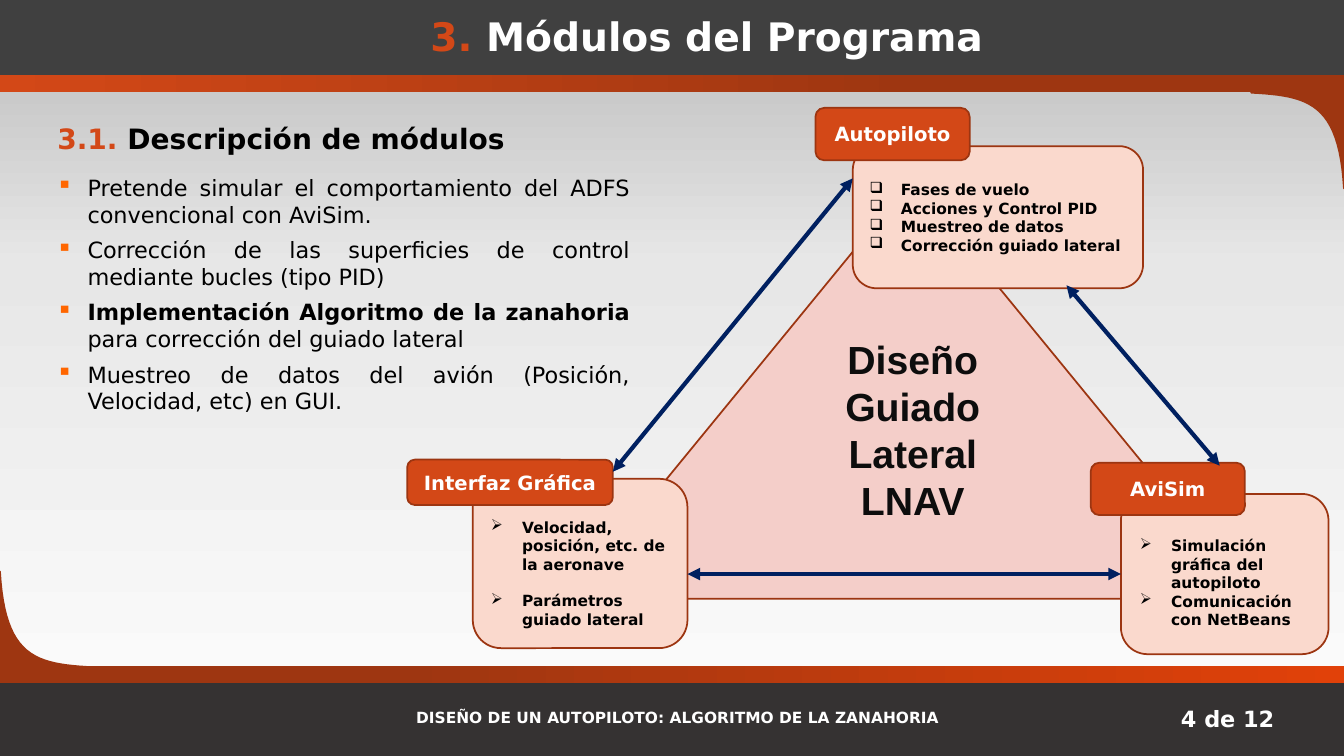
from lxml.etree import SubElement
from pptx import Presentation
from pptx.dml.color import RGBColor
from pptx.enum.shapes import MSO_CONNECTOR, MSO_SHAPE
from pptx.enum.text import MSO_ANCHOR, PP_ALIGN
from pptx.oxml.ns import qn
from pptx.util import Inches, Pt

WHITE = RGBColor(0xFF, 0xFF, 0xFF)
BLACK = RGBColor(0x00, 0x00, 0x00)
INK = RGBColor(0x0D, 0x0D, 0x0D)
ORANGE = RGBColor(0xD3, 0x48, 0x17)
BRIGHT_ORANGE = RGBColor(0xE1, 0x41, 0x09)
BULLET_ORANGE = RGBColor(0xFF, 0x66, 0x00)
RUST = RGBColor(0x9E, 0x36, 0x11)
OUTLINE = RGBColor(0x9C, 0x35, 0x11)
PEACH = RGBColor(0xFA, 0xD9, 0xCD)
PINK = RGBColor(0xF4, 0xCE, 0xC9)
NAVY = RGBColor(0x00, 0x20, 0x60)
HEADER_GREY = RGBColor(0x40, 0x40, 0x40)
FOOTER_GREY = RGBColor(0x35, 0x32, 0x32)
LIGHT = RGBColor(0xFE, 0xFE, 0xFE)
SILVER = RGBColor(0xE7, 0xE7, 0xE7)
DARK_SILVER = RGBColor(0xB9, 0xB9, 0xB9)

presentation = Presentation()
presentation.slide_width = Inches(13.33)
presentation.slide_height = Inches(7.5)
slide = presentation.slides.add_slide(presentation.slide_layouts[6])
shapes = slide.shapes

# All places are in columns and rows of a 40 by 30 grid.
COLUMN = presentation.slide_width / 40
ROW = presentation.slide_height / 30
GRID = (COLUMN, ROW, COLUMN, ROW)


def paint_gradient(fill, element, stops, angle):
    """Fill with (percent, colour) stops; element is the XML that holds the fill."""
    fill.gradient()
    fill.gradient_angle = angle
    stop_list = next(element.iter(qn("a:gsLst")))
    for stop in list(stop_list):
        stop_list.remove(stop)
    for percent, color in stops:
        stop = SubElement(stop_list, qn("a:gs"), pos=str(percent * 1000))
        SubElement(stop, qn("a:srgbClr"), val=str(color))


def write_text(shape, paragraphs, font, layout=None, anchor=MSO_ANCHOR.TOP,
               bullet=None, bullet_color=None, indent=0):
    """Write paragraphs, each a list of (text, changes to the font) runs."""
    frame = shape.text_frame
    frame.word_wrap = True
    frame.vertical_anchor = anchor
    for index, runs in enumerate(paragraphs):
        paragraph = frame.paragraphs[0] if index == 0 else frame.add_paragraph()
        properties = paragraph._p.get_or_add_pPr()
        properties.set("marL", str(Inches(indent)))
        if bullet:
            properties.set("indent", str(-Inches(indent)))
            if bullet_color:
                color_element = SubElement(properties, qn("a:buClr"))
                SubElement(color_element, qn("a:srgbClr"), val=str(bullet_color))
            SubElement(properties, qn("a:buChar"), char=bullet)
        for name, value in {"alignment": PP_ALIGN.LEFT, **(layout or {})}.items():
            if name != "space_before" or index > 0:
                setattr(paragraph, name, value)
        for text, changes in runs:
            run = paragraph.add_run()
            run.text = text
            run_format = {"name": "DejaVu Sans", "bold": True, **font, **changes}
            run.font.color.rgb = run_format.pop("color")
            for name, value in run_format.items():
                setattr(run.font, name, value)


paint_gradient(slide.background.fill, slide._element,
               [(0, LIGHT), (65, SILVER), (100, DARK_SILVER)], 90)

# Curved corners: one Bézier outline, turned half round for the second corner
curve = [(0, 22.68), (0.15, 26.08), (1.05, 26.36), (2.76, 26.48)]
corner = [(2.76, 26.8), (0, 26.8)]
STEPS = 24
for step in range(STEPS + 1):
    t = step / STEPS
    weights = ((1 - t) ** 3, 3 * t * (1 - t) ** 2, 3 * t * t * (1 - t), t ** 3)
    corner.append(tuple(sum(weight * point[axis] for weight, point in zip(weights, curve))
                        for axis in (0, 1)))
opposite_corner = [(40 - x, 30.16 - y) for x, y in corner]
for outline in (corner, opposite_corner):
    points = [(round(x * COLUMN), round(y * ROW)) for x, y in outline]
    builder = shapes.build_freeform(*points[0])
    builder.add_line_segments(points[1:], close=True)
    shape = builder.convert_to_shape()
    shape.shadow.inherit = False
    shape.fill.solid()
    shape.fill.fore_color.rgb = RUST
    shape.line.color.rgb = RUST
    shape.line.width = Pt(1.25)

# Bars, triangle, cards and tabs, from back to front
ROUNDED = MSO_SHAPE.ROUNDED_RECTANGLE
BAR = MSO_SHAPE.RECTANGLE
drawn = {}
for name, kind, place, fill, outline in [
    ("footer bar", BAR, (0, 27.04, 40, 2.96), FOOTER_GREY, None),
    ("header bar", BAR, (0, 0, 40, 2.96), HEADER_GREY, HEADER_GREY),
    ("header stripe", BAR, (0, 2.96, 40, 0.68), [(0, ORANGE), (68, RUST), (100, RUST)], None),
    ("footer stripe", BAR, (0, 26.44, 40, 0.68),
     [(0, RUST), (30, RUST), (100, BRIGHT_ORANGE)], None),
    ("triangle", MSO_SHAPE.ISOSCELES_TRIANGLE, (16.92, 7.16, 20.4, 16.6), PINK, OUTLINE),
    ("autopilot card", ROUNDED, (25.38, 5.8, 8.64, 5.64), PEACH, OUTLINE),
    ("interface card", ROUNDED, (14.07, 19, 6.39, 6.72), PEACH, OUTLINE),
    ("Interfaz Gráfica", ROUNDED, (12.12, 18.24, 6.12, 1.8), ORANGE, OUTLINE),
    ("Autopiloto", ROUNDED, (24.27, 4.28, 4.59, 2.08), ORANGE, OUTLINE),
    ("simulator card", ROUNDED, (33.36, 19.6, 6.18, 6.36), PEACH, OUTLINE),
    ("AviSim", ROUNDED, (32.46, 18.36, 4.59, 2.08), ORANGE, OUTLINE),
]:
    shape = shapes.add_shape(kind, *(round(n * unit) for n, unit in zip(place, GRID)))
    shape.shadow.inherit = False
    if isinstance(fill, list):
        paint_gradient(shape.fill, shape._element, fill, 0)
    else:
        shape.fill.solid()
        shape.fill.fore_color.rgb = fill
    if outline:
        shape.line.color.rgb = outline
        shape.line.width = Pt(1.25)
    else:
        shape.line.fill.background()
    drawn[name] = shape

CENTER = {"alignment": PP_ALIGN.CENTER}
MIDDLE = MSO_ANCHOR.MIDDLE
for tab in ("Interfaz Gráfica", "Autopiloto", "AviSim"):
    write_text(drawn[tab], [[(tab, {})]], {"size": Pt(14), "color": WHITE}, CENTER, MIDDLE)

CARD_FONT = {"size": Pt(11), "color": BLACK}
write_text(drawn["autopilot card"],
           [[(item, {})] for item in ("Fases de vuelo", "Acciones y Control PID",
                                      "Muestreo de datos", "Corrección guiado lateral")],
           CARD_FONT, anchor=MIDDLE, bullet="❑", indent=0.31)
drawn["interface card"].text_frame.margin_top = round(0.96 * ROW)
write_text(drawn["interface card"],
           [[("Velocidad, posición, etc. de la aeronave", {})],
            [("Parámetros guiado lateral", {})]],
           CARD_FONT, {"space_before": Pt(13)}, MIDDLE, bullet="➢", indent=0.31)

# Double-headed arrows between the modules
for start, end, target in [
    ((18.24, 18.72), (25.38, 7.08), None),
    ((20.46, 22.78), (33.36, 22.78), "simulator card"),
    ((31.74, 11.32), (36.3, 18.48), None),
]:
    connector = shapes.add_connector(
        MSO_CONNECTOR.STRAIGHT, *(round(n * unit) for n, unit in zip(start + end, GRID)))
    if target:
        connector.end_connect(drawn[target], 1)
    connector.line.color.rgb = NAVY
    connector.line.width = Pt(3)
    line = connector.line._get_or_add_ln()
    for arrowhead in ("a:headEnd", "a:tailEnd"):
        SubElement(line, qn(arrowhead), type="triangle")
    SubElement(connector._element.spPr, qn("a:effectLst"))

# Free text
HEADING = {"line_spacing": 0.8, "space_after": Pt(8)}
PLAIN = {"bold": False}
for place, paragraphs, font, options in [
    ((4.89, 0.64, 31.41, 4.32),
     [[("3. ", {"color": ORANGE}), ("Módulos del Programa", {})]],
     {"size": Pt(28), "color": WHITE}, {"layout": {**HEADING, **CENTER}, "indent": 0.29}),
    ((33.12, 27.72, 5.1, 1.56), [[("4 de 12", {})]],
     {"size": Pt(16), "color": WHITE},
     {"layout": {"alignment": PP_ALIGN.RIGHT}, "anchor": MIDDLE}),
    ((1.38, 6.72, 17.67, 17.36),
     [[("Pretende simular el comportamiento del ADFS convencional con AviSim.", PLAIN)],
      [("Corrección de las superficies de control mediante bucles (tipo PID)", PLAIN)],
      [("Implementación Algoritmo de la zanahoria ", {}),
       ("para corrección del guiado lateral", PLAIN)],
      [("Muestreo de datos del avión (Posición, Velocidad, etc) en GUI.", PLAIN)]],
     {"size": Pt(16), "color": BLACK},
     {"layout": {"alignment": PP_ALIGN.JUSTIFY, "space_after": Pt(6)},
      "bullet": "▪", "bullet_color": BULLET_ORANGE, "indent": 0.31}),
    ((0.54, 4.88, 24.03, 1.48),
     [[("3.1.", {"color": ORANGE}), (" Descripción de módulos", {})]],
     {"size": Pt(20), "color": BLACK}, {"layout": HEADING, "indent": 0.29}),
    ((33.63, 21.08, 6.15, 5.32),
     [[("Simulación gráfica del autopiloto", {})], [("Comunicación con NetBeans", {})]],
     CARD_FONT, {"bullet": "➢", "indent": 0.31}),
    ((23.91, 13.12, 6.51, 7.96), [[("Diseño Guiado Lateral LNAV", {})]],
     {"name": "Arial", "size": Pt(28), "color": INK}, {"layout": CENTER}),
    ((12.09, 27.68, 17.01, 1.6),
     [[("DISEÑO DE UN AUTOPILOTO: ALGORITMO DE LA ZANAHORIA", {})]],
     {"size": Pt(11), "color": WHITE}, {"anchor": MIDDLE}),
]:
    text_box = shapes.add_textbox(*(round(n * unit) for n, unit in zip(place, GRID)))
    write_text(text_box, paragraphs, font, **options)

presentation.save("out.pptx")
